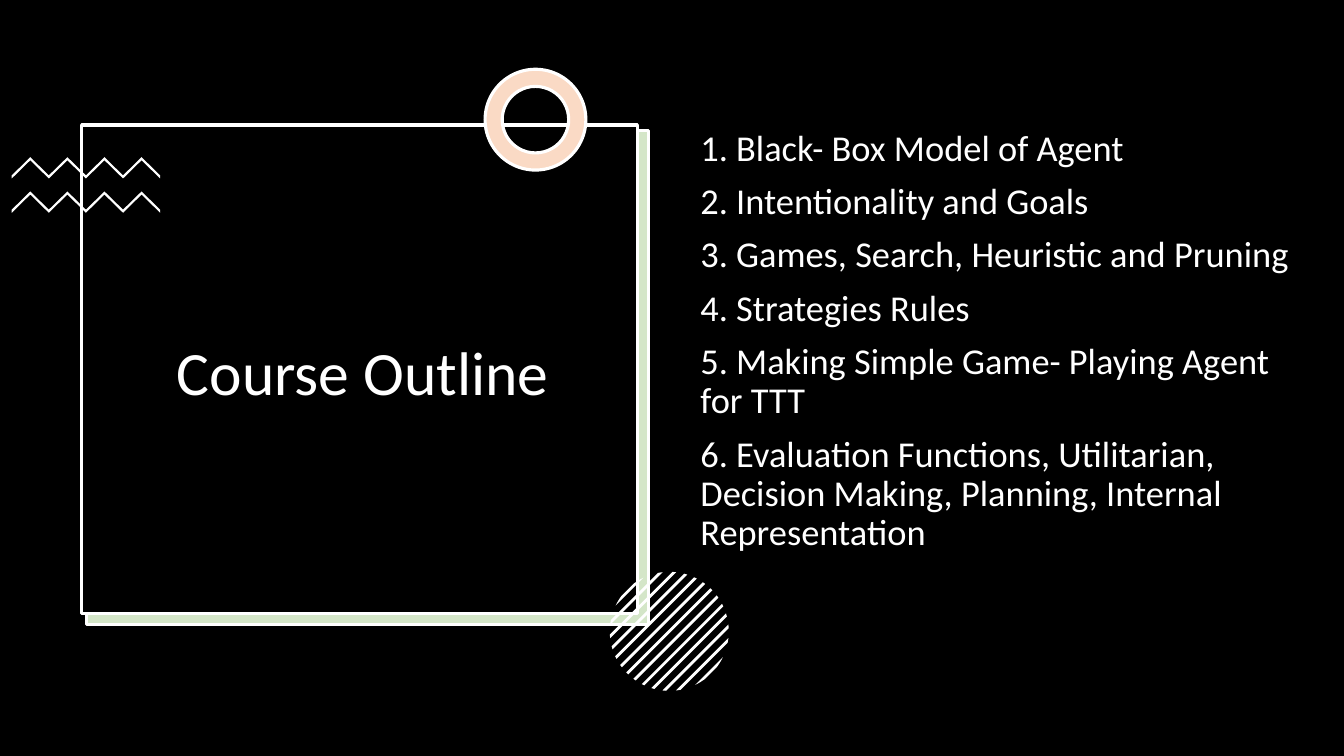
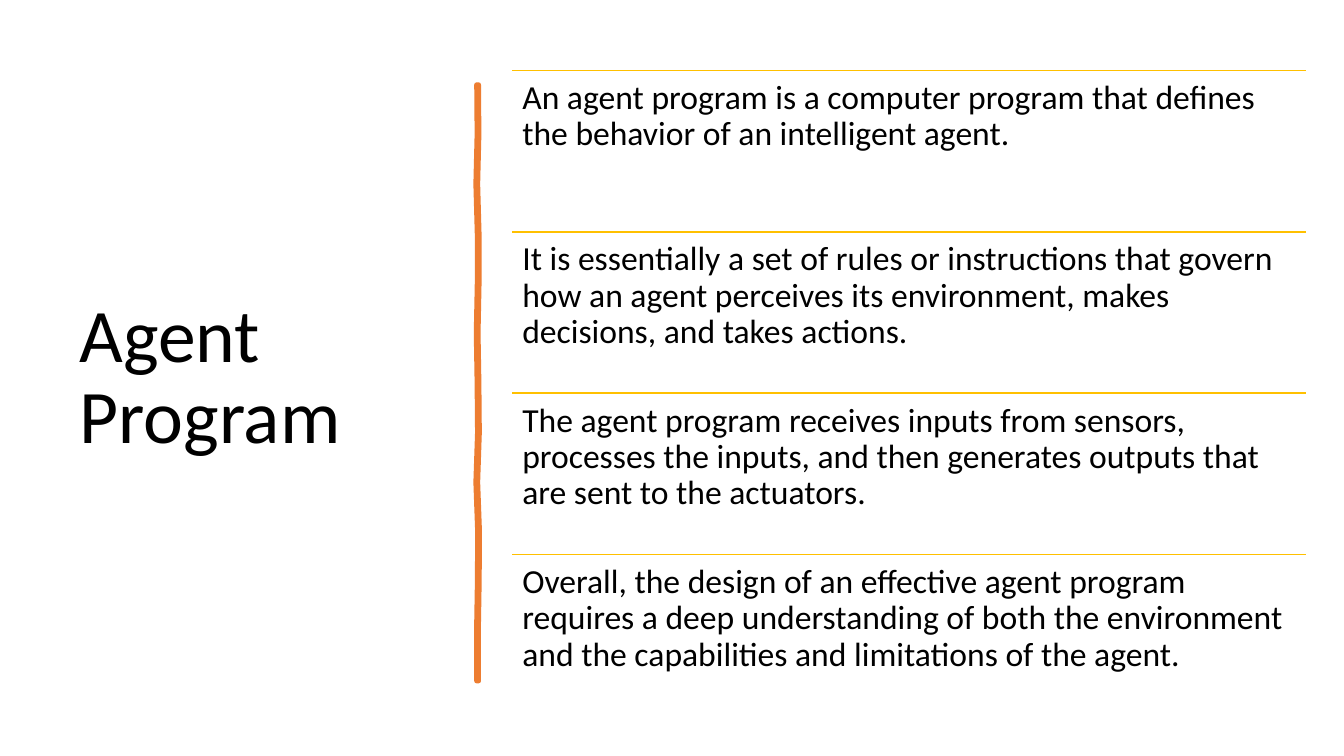
"""Build a course outline slide and an agent program slide."""
from math import sqrt

from lxml import etree
from pptx import Presentation
from pptx.dml.color import RGBColor
from pptx.enum.shapes import MSO_CONNECTOR, MSO_SHAPE
from pptx.enum.text import MSO_ANCHOR, MSO_AUTO_SIZE, PP_ALIGN
from pptx.oxml.ns import qn
from pptx.util import Pt

RECT, RING = MSO_SHAPE.RECTANGLE, MSO_SHAPE.DONUT
LINE = MSO_CONNECTOR.STRAIGHT
TOP, MIDDLE = MSO_ANCHOR.TOP, MSO_ANCHOR.MIDDLE
LEFT, CENTER = PP_ALIGN.LEFT, PP_ALIGN.CENTER
FIXED = MSO_AUTO_SIZE.NONE
HEX = {"black": "000000", "white": "FFFFFF", "green": "D4E6C8",
       "peach": "FADAC5", "orange": "ED7D31", "gold": "FFC000"}
RGB = {name: RGBColor.from_string(code) for name, code in HEX.items()}


def write(shape, box, lines, size, color, anchor=TOP, align=LEFT, inset=(7.2, 3.6)):
    """Place a shape and fill it with styled paragraphs."""
    shape.left, shape.top, shape.width, shape.height = map(Pt, box)
    frame = shape.text_frame
    across, down = map(Pt, inset)
    look = {"word_wrap": True, "auto_size": FIXED, "vertical_anchor": anchor,
            "margin_left": across, "margin_right": across,
            "margin_top": down, "margin_bottom": down}
    for key, value in look.items():
        setattr(frame, key, value)
    frame.text = "\n".join(lines)
    for index, para in enumerate(frame.paragraphs):
        form = {"alignment": align, "line_spacing": 0.9,
                "space_before": Pt(10 if index else 0)}
        for key, value in form.items():
            setattr(para, key, value)
        for key, value in {"name": "Calibri", "size": Pt(size)}.items():
            setattr(para.font, key, value)
        para.font.color.rgb = RGB[color]


def paint(shape, fill, line=None, width=0):
    """Give a shape a flat fill and an optional outline."""
    shape.shadow.inherit = False
    shape.fill.solid()
    shape.fill.fore_color.rgb = RGB[fill]
    if line:
        shape.line.color.rgb = RGB[line]
        shape.line.width = Pt(width)
    else:
        shape.line.fill.background()


deck = Presentation()
deck.slide_width, deck.slide_height = Pt(960), Pt(540)
only = deck.slide_layouts[5]

slide = deck.slides.add_slide(only)
slide.background.fill.solid()
slide.background.fill.fore_color.rgb = RGB["black"]
shapes = slide.shapes

parts = [(RECT, (62, 93, 401, 353), "green"),
         (RECT, (58.3, 89.3, 397, 349.2), "black"),
         (RING, (346.5, 49.5, 72, 72), "peach")]
for kind, box, fill in parts:
    part = shapes.add_shape(kind, *map(Pt, box))
    paint(part, fill, "white", 2.25)
    if kind == RING:
        part.adjustments[0] = 0.17

for top in (112.3, 136.8):
    upper = [(8.4 + 13.25 * i, top + 13 * (1 - i % 2)) for i in range(9)]
    lower = [(x, y + 2.2) for x, y in reversed(upper)]
    edge = [(Pt(x), Pt(y)) for x, y in upper + lower]
    pen = shapes.build_freeform(*edge[0])
    pen.add_line_segments(edge[1:])
    paint(pen.convert_to_shape(), "white")

midx, midy, radius, pitch, thick = 478.1, 451, 42.5, 6.85, 2
pen = None
for i in range(-6, 7):
    low = max(-radius, pitch * i - thick / 2)
    high = min(radius, pitch * i + thick / 2)
    steps = [low + (high - low) * k / 8 for k in range(9)]
    rim = [(d, sqrt(radius ** 2 - d ** 2)) for d in steps]
    rim += [(d, -h) for d, h in reversed(rim)]
    edge = [(Pt(midx + (d + h) / sqrt(2)), Pt(midy + (d - h) / sqrt(2)))
            for d, h in rim]
    if pen:
        pen.move_to(*edge[0])
    else:
        pen = shapes.build_freeform(*edge[0])
    pen.add_line_segments(edge[1:])
paint(pen.convert_to_shape(), "white")

title = shapes.title
shapes._spTree.append(title._element)
write(title, (66.2, 109.4, 386, 318), ["Course Outline"], 44, "white", MIDDLE, CENTER)
topics = ["1. Black- Box Model of Agent",
          "2. Intentionality and Goals",
          "3. Games, Search, Heuristic and Pruning",
          "4. Strategies Rules",
          "5. Making Simple Game- Playing Agent for TTT",
          "6. Evaluation Functions, Utilitarian, Decision Making, Planning, "
          "Internal Representation"]
write(shapes.add_textbox(0, 0, 0, 0), (493.2, 89.3, 438.5, 342.7), topics, 26, "white")

slide = deck.slides.add_slide(only)
shapes = slide.shapes
write(shapes.title, (49.7, 50.4, 269.3, 440), ["Agent Program"], 54, "black", MIDDLE)

sway = [0, 0.3, -0.6, 0.4, 0.4, -0.3, 0.3, 0.6, -0.6, 0.7, 0.5, -0.1, 0]
right = [(342 + s, 60.5 + 35.5 * i) for i, s in enumerate(sway)]
left = [(x - 1.6, y) for x, y in reversed(right)]
edge = [(Pt(x), Pt(y)) for x, y in right + left]
pen = shapes.build_freeform(*edge[0])
pen.add_line_segments(edge[1:])
paint(pen.convert_to_shape(), "orange", "orange", 3.25)

notes = ["An agent program is a computer program that defines the behavior of "
         "an intelligent agent.",
         "It is essentially a set of rules or instructions that govern how an "
         "agent perceives its environment, makes decisions, and takes actions.",
         "The agent program receives inputs from sensors, processes the inputs, "
         "and then generates outputs that are sent to the actuators.",
         "Overall, the design of an effective agent program requires a deep "
         "understanding of both the environment and the capabilities and "
         "limitations of the agent."]
start, wide, tall = 366, 567, 115.2
for i, note in enumerate(notes):
    top = 50.4 + tall * i
    rule = shapes.add_connector(LINE, Pt(start), Pt(top), Pt(start + wide), Pt(top))
    rule.line.color.rgb = RGB["gold"]
    rule.line.width = Pt(1)
    etree.SubElement(rule._element.spPr, qn("a:effectLst"))
    write(shapes.add_textbox(0, 0, 0, 0), (start, top, wide, tall), [note], 24,
          "black", inset=(7.2, 7.2))

deck.save("out.pptx")
